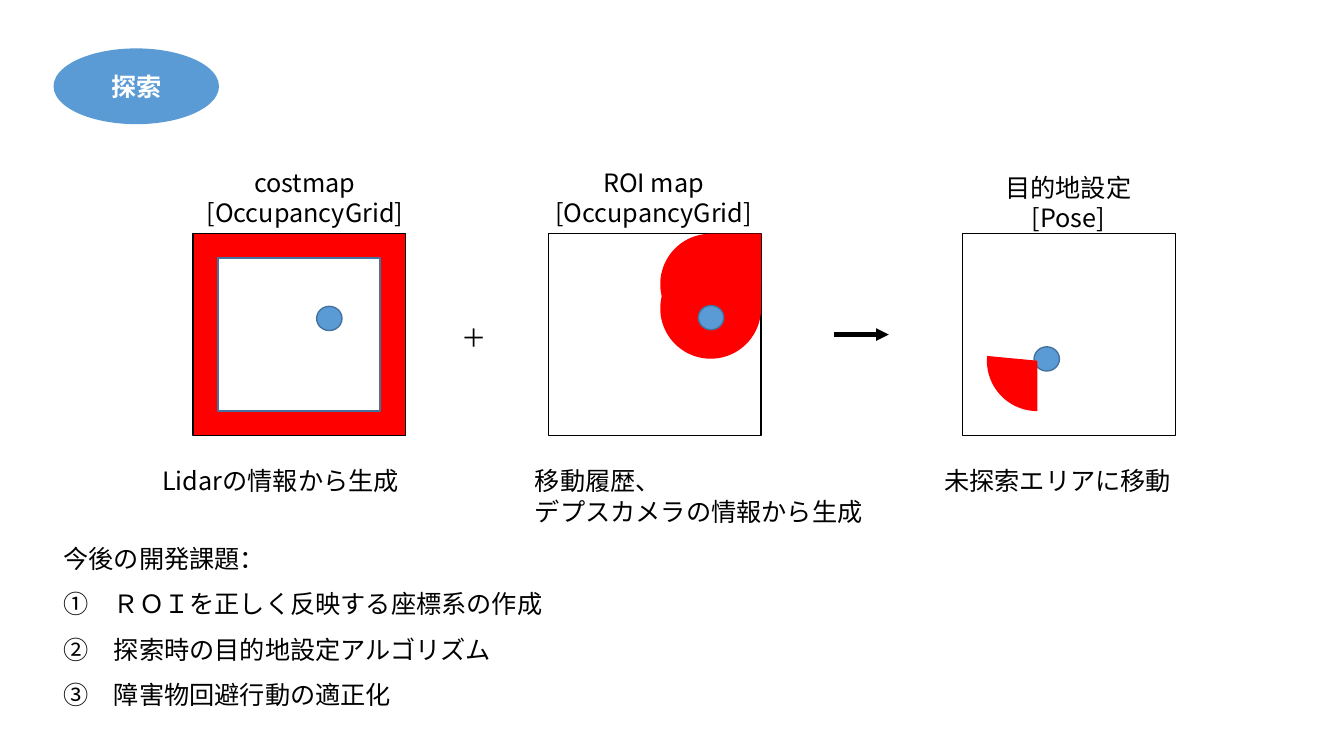
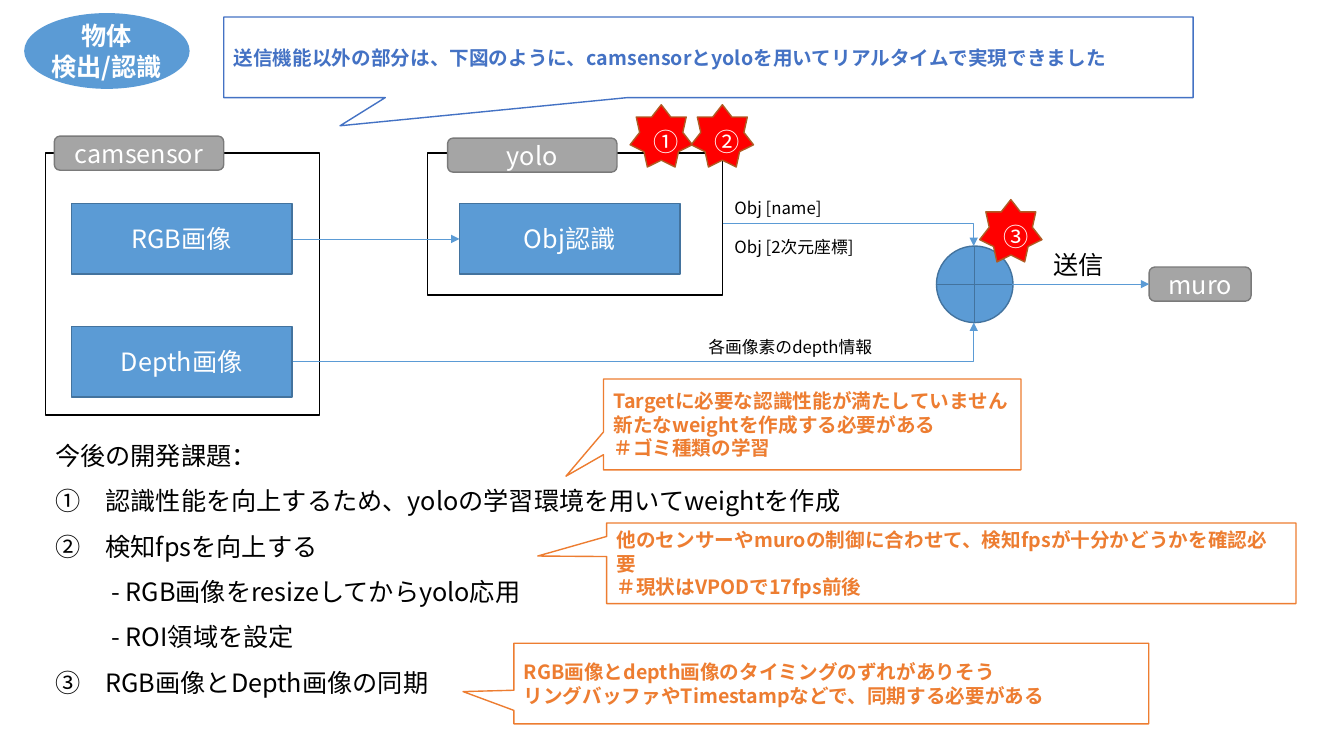
"""Build two slides on robot search and object detection."""
from dataclasses import dataclass
from typing import NamedTuple, Optional, Sequence

from lxml import etree
from pptx import Presentation
from pptx.dml.color import RGBColor
from pptx.enum.shapes import MSO_CONNECTOR, MSO_SHAPE
from pptx.enum.text import MSO_ANCHOR, PP_ALIGN
from pptx.oxml.ns import qn
from pptx.shapes.autoshape import Shape
from pptx.slide import Slide
from pptx.util import Cm, Pt

RECT = MSO_SHAPE.RECTANGLE
ROUND = MSO_SHAPE.ROUNDED_RECTANGLE
OVAL = MSO_SHAPE.OVAL
TEAR = MSO_SHAPE.TEAR
PIE = MSO_SHAPE.PIE
STAR = MSO_SHAPE.STAR_7_POINT
CROSS = MSO_SHAPE.FLOWCHART_OR
WEDGE = MSO_SHAPE.RECTANGULAR_CALLOUT
STRAIGHT = MSO_CONNECTOR.STRAIGHT
ELBOW = MSO_CONNECTOR.ELBOW
LEFT = PP_ALIGN.LEFT
CENTER = PP_ALIGN.CENTER
TOP = MSO_ANCHOR.TOP
MIDDLE = MSO_ANCHOR.MIDDLE

WHITE = RGBColor(0xFF, 0xFF, 0xFF)
BLACK = RGBColor(0, 0, 0)
RED = RGBColor(0xFF, 0, 0)
BLUE = RGBColor(0x5B, 0x9B, 0xD5)
NAVY = RGBColor(0x43, 0x73, 0x9E)
ROYAL = RGBColor(0x44, 0x72, 0xC4)
GREY = RGBColor(0xA5, 0xA5, 0xA5)
SLATE = RGBColor(0x7A, 0x7A, 0x7A)
ORANGE = RGBColor(0xED, 0x7D, 0x31)
BROWN = RGBColor(0xAF, 0x5C, 0x24)

FONT = "Noto Sans CJK JP"
INDENT = Cm(1.42)


class Box(NamedTuple):
    """Left, top, width and height in centimetres."""
    x: float
    y: float
    w: float
    h: float


class Point(NamedTuple):
    """A place in centimetres."""
    x: float
    y: float


@dataclass(frozen=True)
class Panel:
    """A square map with its title and caption."""
    left: float
    title: str
    head: Box
    caption: str
    foot: Box


@dataclass(frozen=True)
class Label:
    """A short text inside a shape."""
    text: str
    box: Box


@dataclass(frozen=True)
class Callout:
    """A speech box with its tip and colour."""
    text: str
    box: Box
    tip: tuple[float, float]
    color: RGBColor = ORANGE


MAP_TOP, MAP_W, MAP_H = 5.89, 5.36, 5.08
PANELS = (
    Panel(4.86, "costmap\n[OccupancyGrid]", Box(4.93, 4.09, 5.51, 1.8),
          "Lidarの情報から生成", Box(3.84, 11.61, 6.5, 1.8)),
    Panel(13.82, "ROI map\n[OccupancyGrid]", Box(13.72, 4.09, 5.51, 1.8),
          "移動履歴、\nデプスカメラの情報から生成", Box(13.23, 11.61, 8.84, 1.8)),
    Panel(24.26, "目的地設定\n[Pose]", Box(25.07, 4.22, 3.71, 1.8),
          "未探索エリアに移動", Box(23.55, 11.61, 6.27, 1.02)),
)
SEARCH_TASKS = """今後の開発課題：
①　ＲＯＩを正しく反映する座標系の作成
②　探索時の目的地設定アルゴリズム
③　障害物回避行動の適正化"""

FRAMES = (Box(1.14, 3.86, 6.91, 6.6), Box(10.77, 3.86, 7.44, 3.58))
TAGS = (
    Label("camsensor", Box(1.37, 3.43, 4.27, 0.86)),
    Label("yolo", Box(11.28, 3.48, 4.27, 0.86)),
    Label("muro", Box(28.96, 6.73, 2.57, 0.86)),
)
STEPS = (
    Label("RGB画像", Box(1.8, 5.13, 5.56, 1.78)),
    Label("Depth画像", Box(1.8, 8.23, 5.56, 1.78)),
    Label("Obj認識", Box(11.58, 5.13, 5.56, 1.78)),
)
BURSTS = (
    Label("①", Box(15.88, 2.64, 1.57, 1.57)),
    Label("②", Box(17.42, 2.64, 1.57, 1.57)),
    Label("③", Box(24.69, 5.03, 1.57, 1.57)),
)
CALLOUTS = (
    Callout("RGB画像とdepth画像のタイミングのずれがありそう\n"
            "リングバッファやTimestampなどで、同期する必要がある",
            Box(12.95, 16.21, 16, 2.03), (-0.58, 0.1)),
    Callout("Targetに必要な認識性能が満たしていません\n"
            "新たなweightを作成する必要がある\n＃ゴミ種類の学習",
            Box(15.21, 9.55, 10.52, 2.29), (-0.59, 0.57)),
    Callout("他のセンサーやmuroの制御に合わせて、検知fpsが十分かどうかを確認必要\n"
            "＃現状はVPODで17fps前後",
            Box(15.29, 13.18, 17.37, 2.03), (-0.6, -0.09)),
    Callout("送信機能以外の部分は、下図のように、camsensorとyoloを用いて"
            "リアルタイムで実現できました",
            Box(5.64, 0.43, 24.43, 2.03), (-0.38, 0.85), ROYAL),
)
DETECT_TASKS = """今後の開発課題：
①　認識性能を向上するため、yoloの学習環境を用いてweightを作成
②　検知fpsを向上する
- RGB画像をresizeしてからyolo応用
- ROI領域を設定
③　RGB画像とDepth画像の同期"""


def write(shape: Shape, text: str, *, size: float = 18, color: RGBColor = BLACK,
          bold: bool = False, align: PP_ALIGN = LEFT, anchor: MSO_ANCHOR = TOP,
          wrap: bool = True, lead: Optional[float] = None, gap: float = 0) -> None:
    """Fill a shape with one paragraph per line of text."""
    frame = shape.text_frame
    frame.word_wrap = wrap
    frame.vertical_anchor = anchor
    for rank, line in enumerate(text.split("\n")):
        para = frame.add_paragraph() if rank else frame.paragraphs[0]
        para.alignment = align
        if lead:
            para.line_spacing = lead
        if rank and gap:
            para.space_before = Pt(gap)
        if line.startswith("- "):
            para._p.get_or_add_pPr().set("marL", str(INDENT))
        run = para.add_run()
        run.text = line
        font = run.font
        font.name, font.size, font.bold = FONT, Pt(size), bold
        font.color.rgb = color
        etree.SubElement(font._rPr, qn("a:ea")).set("typeface", FONT)


def draw(slide: Slide, kind: MSO_SHAPE, box: Box, fill: Optional[RGBColor] = None,
         line: Optional[RGBColor] = None, adjust: Sequence[float] = (),
         turn: float = 0) -> Shape:
    """Add a flat preset shape."""
    shape = slide.shapes.add_shape(kind, *map(Cm, box))
    shape.shadow.inherit = False
    shape.rotation = turn
    for rank, value in enumerate(adjust):
        shape.adjustments[rank] = value
    if fill is None:
        shape.fill.background()
    else:
        shape.fill.solid()
        shape.fill.fore_color.rgb = fill
    if line is None:
        shape.line.fill.background()
    else:
        shape.line.color.rgb = line
        shape.line.width = Pt(1)
    return shape


def note(slide: Slide, text: str, box: Box, **style) -> None:
    """Add a plain text box."""
    write(slide.shapes.add_textbox(*map(Cm, box)), text, **style)


def arrow(slide: Slide, start: Point, end: Point, color: RGBColor = BLUE,
          width: float = 0.5, bent: bool = False) -> None:
    """Join two points with a straight or one-corner arrow."""
    link = slide.shapes.add_connector(
        ELBOW if bent else STRAIGHT, *map(Cm, (*start, *end)))
    link.line.color.rgb = color
    link.line.width = Pt(width)
    props = link._element.spPr
    if bent:
        props.find(qn("a:prstGeom")).set("prst", "bentConnector2")
    etree.SubElement(props.find(qn("a:ln")), qn("a:tailEnd")).set("type", "triangle")
    etree.SubElement(props, qn("a:effectLst"))


def badge(slide: Slide, text: str, x: float, y: float) -> None:
    """Add the oval that names the topic."""
    shape = draw(slide, OVAL, Box(x, y, 4.17, 1.91), BLUE)
    write(shape, text, color=WHITE, bold=True, align=CENTER, anchor=MIDDLE, wrap=False)


def robot(slide: Slide, x: float, y: float) -> None:
    """Mark where the robot stands."""
    draw(slide, OVAL, Box(x, y, 0.64, 0.61), BLUE, NAVY)


def label(slide: Slide, kind: MSO_SHAPE, items: Sequence[Label], fill: RGBColor,
          line: RGBColor, lead: Optional[float] = None) -> None:
    """Draw a set of like shapes with white text."""
    for item in items:
        shape = draw(slide, kind, item.box, fill, line)
        write(shape, item.text, color=WHITE, align=CENTER, anchor=MIDDLE, lead=lead)


def search(slide: Slide) -> None:
    """Show how the maps lead to a goal."""
    for panel in PANELS:
        fill = RED if panel is PANELS[0] else None
        draw(slide, RECT, Box(panel.left, MAP_TOP, MAP_W, MAP_H), fill, BLACK)
        note(slide, panel.title, panel.head, align=CENTER)
        note(slide, panel.caption, panel.foot)
    draw(slide, RECT, Box(5.49, 6.5, 4.09, 3.86), WHITE, NAVY)
    for top in (MAP_TOP, 6.5):
        draw(slide, TEAR, Box(16.64, top, 2.54, 2.54), RED)
    robot(slide, 7.98, 7.72)
    robot(slide, 17.6, 7.7)
    robot(slide, 26.06, 8.74)
    draw(slide, PIE, Box(24.87, 7.82, 2.54, 2.54), RED, adjust=(0, 57.26), turn=90)
    note(slide, "＋", Box(11.38, 8, 1.14, 1.02))
    arrow(slide, Point(21.03, 8.43), Point(22.4, 8.43), BLACK, 3)
    badge(slide, "探索", 1.35, 1.22)
    note(slide, SEARCH_TASKS, Box(1.35, 13.18, 21.62, 4.88), lead=1.5)


def detect(slide: Slide) -> None:
    """Show the flow from camera to robot."""
    for frame in FRAMES:
        draw(slide, RECT, frame, line=BLACK)
    label(slide, ROUND, TAGS, GREY, SLATE)
    label(slide, RECT, STEPS, BLUE, NAVY)
    note(slide, "Obj [name]\nObj [2次元座標]", Box(18.26, 4.85, 7.67, 1.8),
         size=12, gap=14)
    note(slide, "各画像素のdepth情報", Box(17.6, 8.36, 7.67, 0.76), size=12)
    draw(slide, CROSS, Box(23.6, 6.2, 1.93, 1.93), BLUE, NAVY)
    arrow(slide, Point(7.38, 6.02), Point(11.58, 6.02))
    arrow(slide, Point(18.21, 5.64), Point(24.54, 6.2), bent=True)
    arrow(slide, Point(7.38, 9.12), Point(24.54, 8.13), bent=True)
    arrow(slide, Point(25.5, 7.16), Point(28.96, 7.16))
    note(slide, "送信", Box(26.29, 6.17, 2.74, 1.02))
    label(slide, STAR, BURSTS, RED, BROWN, 1.5)
    note(slide, DETECT_TASKS, Box(1.14, 10.59, 21.62, 7.19), lead=1.5)
    for item in CALLOUTS:
        shape = draw(slide, WEDGE, item.box, WHITE, item.color, item.tip)
        write(shape, item.text, size=14, color=item.color, bold=True, anchor=MIDDLE)
    badge(slide, "物体\n検出/認識", 0.61, 0.33)


def main() -> None:
    """Build and save the deck."""
    deck = Presentation()
    deck.slide_width, deck.slide_height = Cm(33.87), Cm(19.05)
    blank = deck.slide_layouts[6]
    for build in (search, detect):
        build(deck.slides.add_slide(blank))
    deck.save("out.pptx")


if __name__ == "__main__":
    main()
